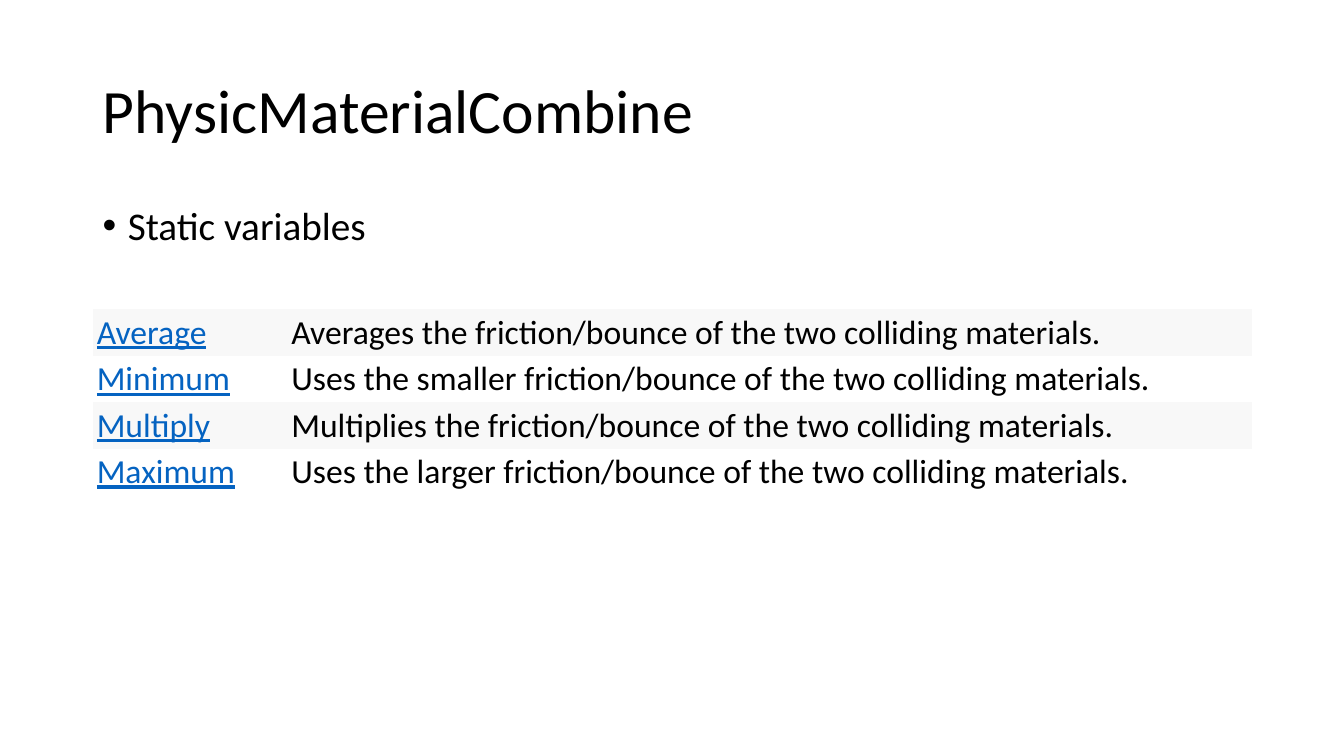
"""Build the PhysicMaterialCombine slide with its table of static variables."""
from lxml import etree
from pptx import Presentation
from pptx.dml.color import RGBColor
from pptx.enum import text
from pptx.oxml import ns
from pptx.util import Inches, Pt

COLORS = {"ink": "000000", "link": "0563C1", "band": "F8F8F8"}
ROWS = [
    ("Average", "Averages the friction/bounce of the two colliding materials."),
    ("Minimum", "Uses the smaller friction/bounce of the two colliding materials."),
    ("Multiply", "Multiplies the friction/bounce of the two colliding materials."),
    ("Maximum", "Uses the larger friction/bounce of the two colliding materials."),
]
LEFT, WIDTH = Inches(0.92), Inches(11.5)
NO_STYLE = "{2D5ABB26-0587-4C30-8999-92F81FD0307C}"


def style(para, size, color="ink"):
    """Left-align a paragraph and format its runs."""
    para.alignment = text.PP_ALIGN.LEFT
    for run in para.runs:
        run.font.name = "Calibri"
        run.font.size = Pt(size)
        run.font.color.rgb = RGBColor.from_string(COLORS[color])
        run.font.underline = color == "link"


deck = Presentation()
deck.slide_width, deck.slide_height = Inches(13.33), Inches(7.5)
slide = deck.slides.add_slide(deck.slide_layouts[5])

title = slide.shapes.title
title.left, title.top = LEFT, Inches(0.4)
title.width, title.height = WIDTH, Inches(1.45)
title.text_frame.text = "PhysicMaterialCombine"
title.text_frame.vertical_anchor = text.MSO_ANCHOR.MIDDLE
head = title.text_frame.paragraphs[0]
head.line_spacing = 0.9
style(head, 44)

body = slide.shapes.add_textbox(LEFT, Inches(2), WIDTH, Inches(4.76))
body.text_frame.word_wrap = True
body.text_frame.text = "Static variables"
item = body.text_frame.paragraphs[0]
item.line_spacing = 0.9
item.space_before = Pt(10)
style(item, 28)
props = item._p.get_or_add_pPr()
props.set("marL", str(Inches(0.25)))
props.set("indent", str(Inches(-0.25)))
etree.SubElement(props, ns.qn("a:buFont")).set("typeface", "Arial")
etree.SubElement(props, ns.qn("a:buChar")).set("char", "•")

frame = slide.shapes.add_table(len(ROWS), 2, LEFT, Inches(3.07), WIDTH, Inches(1.83))
frame.element.xpath(".//a:tableStyleId")[0].text = NO_STYLE
table = frame.table
table.first_row = table.horz_banding = False
table.columns[0].width, table.columns[1].width = Inches(1.93), Inches(9.57)

for r, row in enumerate(ROWS):
    for c, words in enumerate(row):
        cell = table.cell(r, c)
        cell.margin_left = cell.margin_right = Inches(0.04)
        cell.margin_top = cell.margin_bottom = Inches(0.03)
        cell.text_frame.text = words
        style(cell.text_frame.paragraphs[0], 24, "ink" if c else "link")
        if r % 2:
            cell.fill.background()
        else:
            cell.fill.solid()
            cell.fill.fore_color.rgb = RGBColor.from_string(COLORS["band"])

deck.save("out.pptx")
